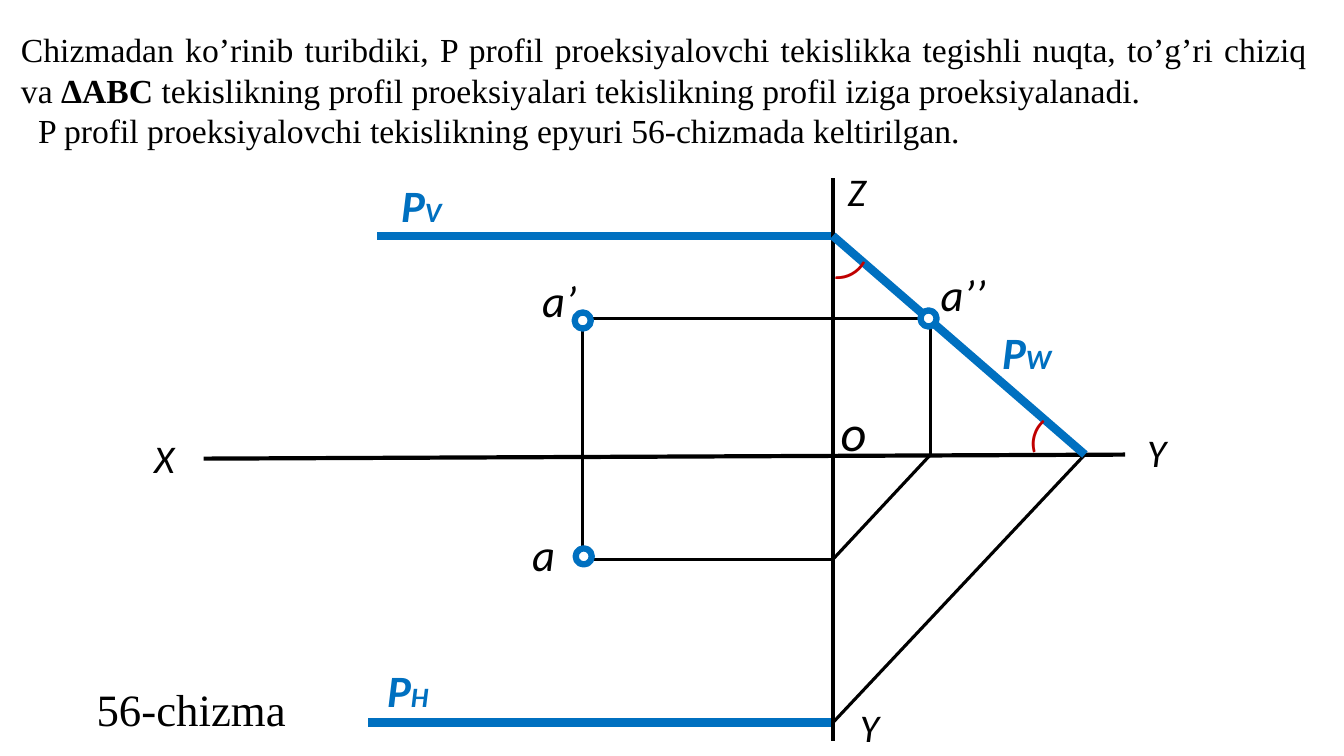
from dataclasses import dataclass
from lxml import etree
from pptx import Presentation, util as u
from pptx.dml.color import RGBColor
from pptx.enum import shapes, text
from pptx.oxml.ns import qn


@dataclass(frozen=True)
class Theme:
    ink: str = "000000"
    trace: str = "0070C0"
    angle: str = "C00000"
    paper: str = "FFFFFF"
    serif: str = "Times New Roman"
    sans: str = "Calibri"
    body: int = 24
    index: int = 20
    axis: int = 28
    point: int = 32
    origin: int = 36
    thin: float = 2.25
    medium: float = 3
    ring: float = 4.5
    thick: float = 6


T = Theme()
WIDTH, HEIGHT = 13.33, 7.5

INTRO = [
    [("Chizmadan ko’rinib turibdiki, P profil proeksiyalovchi tekislikka tegishli "
      "nuqta, to’g’ri chiziq va ", False),
     ("ΔABC ", True),
     ("tekislikning profil proeksiyalari tekislikning profil iziga proeksiyalanadi.", False)],
    [("P profil proeksiyalovchi tekislikning epyuri 56-chizmada keltirilgan.", False)],
]
INTRO_BOX = (0.11, 0.24, 12.95, 1.31)
INTRO_INDENTS = (0, 0.17)
CAPTION = "56-chizma"
CAPTION_BOX = (0.86, 6.71, 2.1, 0.64)

Z_X = 8.26
POINT_X, PROFILE_X, TRACE_Y_X = 5.78, 9.23, 10.76
PV_Y, FRONT_Y, AXIS_Y, PLAN_Y, PH_Y = 2.34, 3.16, 4.51, 5.55, 7.17
RING = 0.16

LINES = [
    ((2.02, 4.55), (11.16, AXIS_Y), T.ink, T.medium),
    ((Z_X, PH_Y), (3.65, PH_Y), T.trace, T.thick),
    ((Z_X, PV_Y), (3.74, PV_Y), T.trace, T.thick),
    ((PROFILE_X, AXIS_Y), (PROFILE_X, FRONT_Y), T.ink, T.thin),
    ((PROFILE_X, FRONT_Y), (POINT_X, FRONT_Y), T.ink, T.thin),
    ((Z_X, PH_Y), (TRACE_Y_X, AXIS_Y), T.ink, T.thin),
    ((Z_X, PLAN_Y), (PROFILE_X, AXIS_Y), T.ink, T.thin),
    ((Z_X, PLAN_Y), (POINT_X, PLAN_Y), T.ink, T.thin),
    ((POINT_X, PLAN_Y), (POINT_X, FRONT_Y), T.ink, T.thin),
    ((Z_X, 1.77), (Z_X, 7.35), T.ink, T.medium),
    ((TRACE_Y_X, AXIS_Y), (Z_X, PV_Y), T.trace, T.thick),
]
POINTS = [(9.21, FRONT_Y), (5.79, 5.52), (POINT_X, 3.18)]

AXIS_LABELS = [("X", 1.43, 4.26), ("Y", 11.28, 4.2), ("Y", 8.43, 6.93), ("Z", 8.31, 1.61)]
POINT_LABELS = [("a’", 5.28, 2.66, 0.6), ("a", 5.18, 5.18, 0.83), ("a’’", 9.23, 2.6, 0.79)]
TRACE_LABELS = [("H", 3.74, 6.53, 0.89), ("V", 3.88, 1.71, 0.7), ("W", 9.84, 3.17, 0.7)]
ORIGIN_BOX = (8.24, 3.93, 0.43, 0.71)
ANGLES = [(10.13, 4.01, 16.7), (8.25, 2.44, 240.9)]


def inches(values):
    return [u.Inches(value) for value in values]


def add_run(paragraph, words, size, color=T.ink, face=T.sans, bold=False, italic=False):
    run = paragraph.add_run()
    run.text = words
    font = run.font
    font.size, font.name, font.bold, font.italic = u.Pt(size), face, bold, italic
    font.color.rgb = RGBColor.from_string(color)


def add_box(slide, box, wrap=True, turn=0):
    frame_shape = slide.shapes.add_textbox(*inches(box))
    frame_shape.rotation = turn
    frame = frame_shape.text_frame
    frame.word_wrap = wrap
    frame.auto_size = text.MSO_AUTO_SIZE.SHAPE_TO_FIT_TEXT
    return frame


def add_label(slide, box, words, size, wrap=True, turn=0, **look):
    paragraph = add_box(slide, box, wrap, turn).paragraphs[0]
    add_run(paragraph, words, size, **look)
    return paragraph


def add_line(slide, start, end, color, weight):
    line = slide.shapes.add_connector(shapes.MSO_CONNECTOR.STRAIGHT, *inches(start + end))
    line.line.color.rgb = RGBColor.from_string(color)
    line.line.width = u.Pt(weight)
    etree.SubElement(line._element.spPr, qn("a:effectLst"))


def add_point(slide, x, y):
    ring = slide.shapes.add_shape(
        shapes.MSO_SHAPE.OVAL, *inches((x - RING / 2, y - RING / 2, RING, RING)))
    ring.shadow.inherit = False
    ring.fill.solid()
    ring.fill.fore_color.rgb = RGBColor.from_string(T.paper)
    ring.line.color.rgb = RGBColor.from_string(T.trace)
    ring.line.width = u.Pt(T.ring)


def add_intro(slide):
    frame = add_box(slide, INTRO_BOX)
    for number, (runs, indent) in enumerate(zip(INTRO, INTRO_INDENTS)):
        paragraph = frame.add_paragraph() if number else frame.paragraphs[0]
        paragraph.alignment = text.PP_ALIGN.JUSTIFY
        paragraph._p.get_or_add_pPr().set("indent", str(u.Inches(indent)))
        for words, bold in runs:
            add_run(paragraph, words, T.body, face=T.serif, bold=bold)


def main():
    deck = Presentation()
    deck.slide_width, deck.slide_height = inches((WIDTH, HEIGHT))
    slide = deck.slides.add_slide(deck.slide_layouts[6])

    add_intro(slide)
    for line in LINES:
        add_line(slide, *line)
    for point in POINTS:
        add_point(slide, *point)

    for name, x, y in AXIS_LABELS:
        add_label(slide, (x, y, 0.43, 0.57), name, T.axis, italic=True)
    for name, x, y, width in POINT_LABELS:
        add_label(slide, (x, y, width, 0.64), name, T.point, italic=True)
    for plane, x, y, width in TRACE_LABELS:
        look = dict(color=T.trace, bold=True, italic=True)
        trace = add_label(slide, (x, y, width, 0.64), "P", T.point, **look)
        add_run(trace, plane, T.index, **look)
    add_label(slide, ORIGIN_BOX, "o", T.origin, italic=True)
    for x, y, turn in ANGLES:
        add_label(slide, (x, y, 0.32, 0.57), "(", T.axis, wrap=False, turn=turn, color=T.angle)
    add_label(slide, CAPTION_BOX, CAPTION, T.point, wrap=False, face=T.serif)

    deck.save("out.pptx")


if __name__ == "__main__":
    main()
